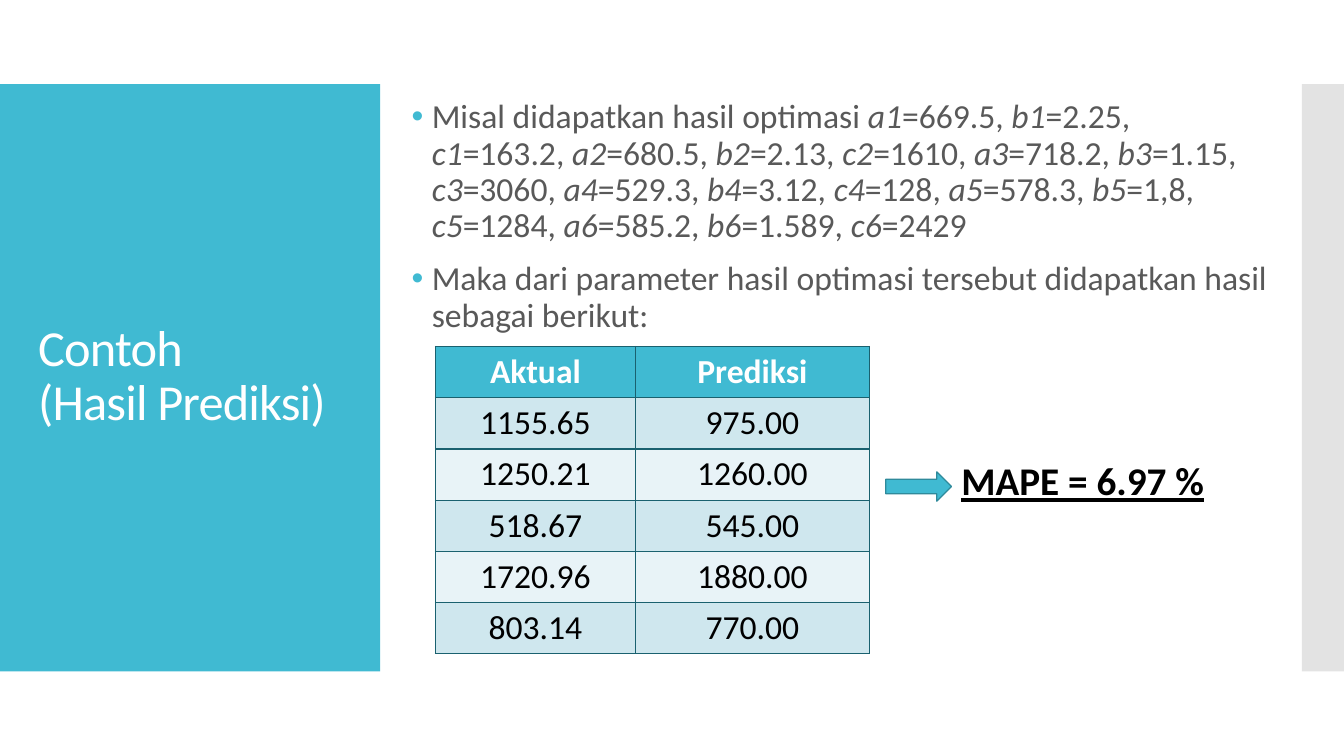
import pptx
import pptx.dml.color
import pptx.enum.shapes
import pptx.enum.text
import pptx.oxml
import pptx.oxml.ns
import pptx.util

Pt = pptx.util.Pt
RGBColor = pptx.dml.color.RGBColor
ALIGN = pptx.enum.text.PP_ALIGN
ANCHOR = pptx.enum.text.MSO_ANCHOR
SHAPE = pptx.enum.shapes.MSO_SHAPE

TEAL = RGBColor(0x40, 0xBA, 0xD2)
TEAL_EDGE = RGBColor(0x2F, 0x8A, 0x9B)
GRID = RGBColor(0x1A, 0x61, 0x6F)
BANDS = (RGBColor(0xE8, 0xF3, 0xF7), RGBColor(0xCF, 0xE7, 0xEE))
SILVER = RGBColor(0xC8, 0xC8, 0xC8)
GREY = RGBColor(0x59, 0x59, 0x59)
WHITE = RGBColor(0xFF, 0xFF, 0xFF)
BLACK = RGBColor(0, 0, 0)

COEFFICIENTS = (
    ("669.5", "2.25", "163.2"),
    ("680.5", "2.13", "1610"),
    ("718.2", "1.15", "3060"),
    ("529.3", "3.12", "128"),
    ("578.3", "1,8", "1284"),
    ("585.2", "1.589", "2429"),
)
RESULTS = (
    ("Aktual", "Prediksi"),
    ("1155.65", "975.00"),
    ("1250.21", "1260.00"),
    ("518.67", "545.00"),
    ("1720.96", "1880.00"),
    ("803.14", "770.00"),
)


def apply(target, formats):
    for name, value in formats.items():
        setattr(target, name, value)


def style_font(font, size, color, **formats):
    apply(font, {"name": "Calibri", "size": Pt(size), **formats})
    font.color.rgb = color


def place(part, box):
    apply(part, dict(zip(("left", "top", "width", "height"), map(Pt, box))))


def append_xml(parent, tag, attributes="", inner=""):
    namespace = pptx.oxml.ns.nsdecls("a")
    parent.append(pptx.oxml.parse_xml(f"<a:{tag} {namespace} {attributes}>{inner}</a:{tag}>"))


def add_solid(slide, kind, box, color):
    solid = slide.shapes.add_shape(kind, *map(Pt, box))
    solid.shadow.inherit = False
    solid.fill.solid()
    solid.fill.fore_color.rgb = color
    solid.line.fill.background()
    return solid


def add_side_panels(slide, box):
    left, top, width, height = box
    title_width, strip_width = 271.5, 30
    title_panel = add_solid(slide, SHAPE.RECTANGLE, (left, top, title_width, height), TEAL)
    strip = add_solid(
        slide, SHAPE.RECTANGLE, (left + width - strip_width, top, strip_width, height), SILVER
    )
    # Half-transparent strip
    strip_color = strip.fill._xPr.solidFill[0]
    append_xml(strip_color, "alpha", 'val="50000"')
    # Panels lie behind the title
    for panel in (title_panel, strip):
        slide.shapes.title._element.addprevious(panel._element)


def fill_title(slide, box):
    title = slide.shapes.title
    place(title, box)
    frame = title.text_frame
    frame.text = "Contoh\v(Hasil Prediksi)"
    apply(frame, {"word_wrap": True, "vertical_anchor": ANCHOR.MIDDLE,
                  "auto_size": pptx.enum.text.MSO_AUTO_SIZE.NONE})
    paragraph = frame.paragraphs[0]
    apply(paragraph, {"alignment": ALIGN.LEFT, "line_spacing": 0.9})
    for run in paragraph.runs:
        style_font(run.font, 36, WHITE)
        run._r.get_or_add_rPr().set("spc", "-60")


def style_bullet(paragraph):
    apply(paragraph, {"line_spacing": 0.9, "space_before": Pt(12)})
    properties = paragraph._p.get_or_add_pPr()
    apply_indent = {"marL": Pt(14.4), "indent": -Pt(14.4)}
    for name, value in apply_indent.items():
        properties.set(name, str(int(value)))
    append_xml(properties, "buClr", inner=f'<a:srgbClr val="{TEAL}"/>')
    append_xml(properties, "buFont", 'typeface="Arial"')
    append_xml(properties, "buChar", 'char="•"')


def fill_body(slide, box):
    body = slide.placeholders[1]
    place(body, box)
    frame = body.text_frame
    apply(frame, {"word_wrap": True, "vertical_anchor": ANCHOR.TOP,
                  "auto_size": pptx.enum.text.MSO_AUTO_SIZE.NONE})

    # Optimised parameters, with italic names
    pieces = [("Misal didapatkan hasil optimasi ", False)]
    for number, values in enumerate(COEFFICIENTS, 1):
        for letter, value in zip("abc", values):
            pieces += [(f"{letter}{number}", True), (f"={value}, ", False)]
    pieces[-1] = (pieces[-1][0].rstrip(", "), False)
    conclusion = "Maka dari parameter hasil optimasi tersebut didapatkan hasil sebagai berikut:"

    parameters = frame.paragraphs[0]
    for paragraph, runs in (
        (parameters, pieces),
        (frame.add_paragraph(), [(conclusion, False)]),
    ):
        style_bullet(paragraph)
        for text, italic in runs:
            run = paragraph.add_run()
            run.text = text
            style_font(run.font, 24, GREY, italic=italic)


def style_cell(cell, text, fill, color, bold):
    cell.text = text
    cell.vertical_anchor = ANCHOR.MIDDLE
    paragraph = cell.text_frame.paragraphs[0]
    paragraph.alignment = ALIGN.CENTER
    style_font(paragraph.runs[0].font, 24, color, bold=bold)
    # Borders come before the fill
    properties = cell._tc.get_or_add_tcPr()
    for side in "LRTB":
        append_xml(properties, f"ln{side}", f'w="{Pt(1)}"',
                   f'<a:solidFill><a:srgbClr val="{GRID}"/></a:solidFill>')
    cell.fill.solid()
    cell.fill.fore_color.rgb = fill


def add_results_table(slide, box):
    height = box[3]
    table = slide.shapes.add_table(len(RESULTS), 2, *map(Pt, box)).table
    for column, width in zip(table.columns, (143, 167)):
        column.width = Pt(width)
    for index, values in enumerate(RESULTS):
        table.rows[index].height = Pt(height / len(RESULTS))
        header = index == 0
        for column, text in enumerate(values):
            style_cell(table.cell(index, column), text,
                       TEAL if header else BANDS[index % 2],
                       WHITE if header else BLACK, header)


def add_error_callout(slide, box):
    left, top, width, height = box
    arrow_width, arrow_height = 47, 21
    label = slide.shapes.add_textbox(
        *map(Pt, (left + arrow_width, top, width - arrow_width, height))
    )
    label.text_frame.word_wrap = True
    run = label.text_frame.paragraphs[0].add_run()
    run.text = "MAPE = 6.97 %"
    style_font(run.font, 28, BLACK, bold=True, underline=True)
    # Arrow from the table to the error
    arrow = add_solid(slide, SHAPE.RIGHT_ARROW, (left, top + 14.4, arrow_width, arrow_height), TEAL)
    arrow.line.color.rgb = TEAL_EDGE
    arrow.line.width = Pt(0.85)


def main():
    deck = pptx.Presentation()
    apply(deck, {"slide_width": Pt(960), "slide_height": Pt(540)})
    slide = deck.slides.add_slide(deck.slide_layouts[1])
    add_side_panels(slide, (0, 60, 960, 419.5))
    fill_title(slide, (20, 88.5, 232, 362))
    fill_body(slide, (286.8, 67.7, 627, 160))
    add_results_table(slide, (311, 247.5, 310, 219.6))
    add_error_callout(slide, (632.7, 322.6, 265, 41))
    deck.save("out.pptx")


if __name__ == "__main__":
    main()
